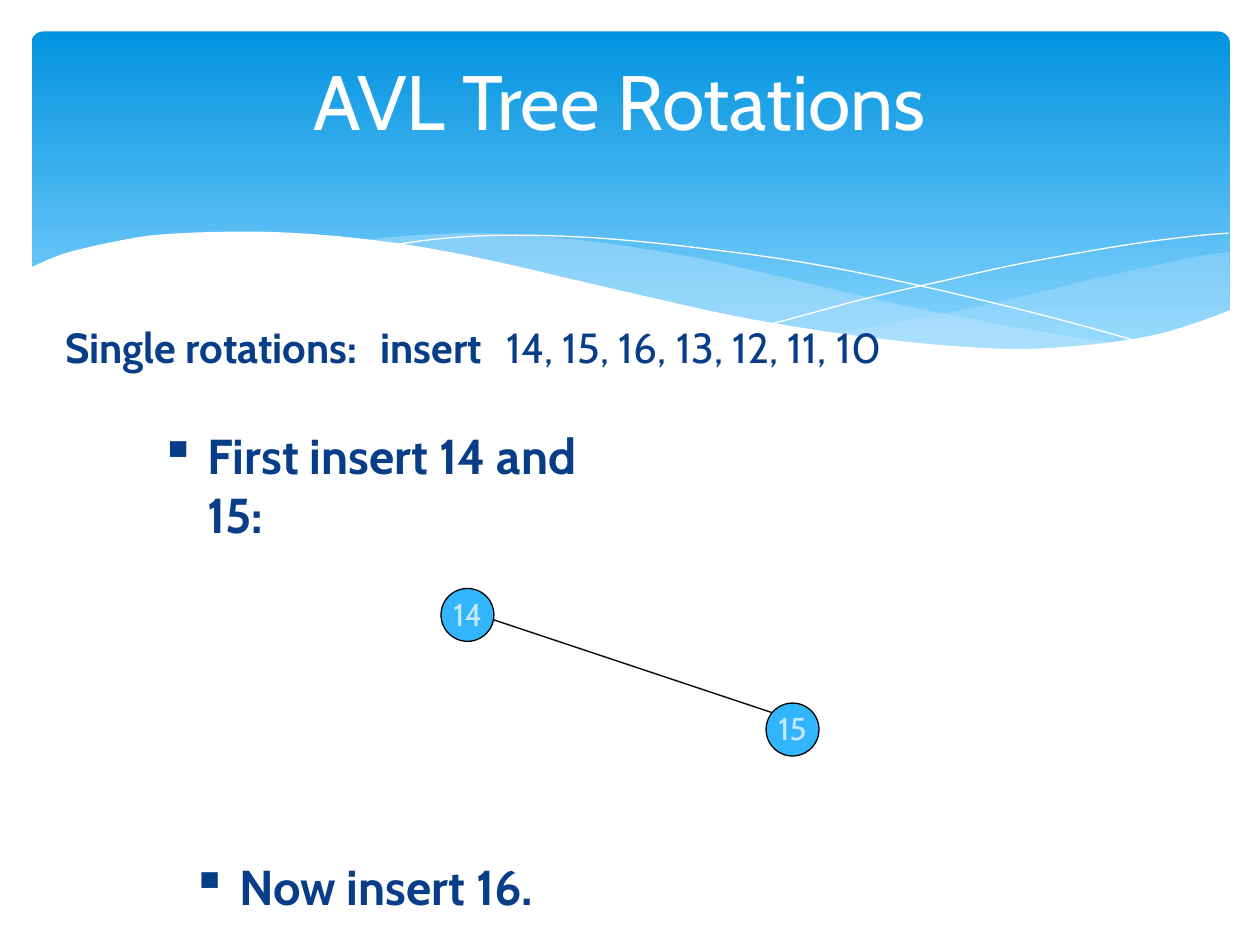
"""Build the AVL tree rotations slide: wave banner, two tree nodes and steps."""
from lxml import etree
from pptx import Presentation
from pptx import util as u
from pptx.dml import color
from pptx.enum import shapes, text
from pptx.oxml import ns

FONT = "Cabin"
COLORS = {
    "sky_top": "0293E0", "sky_low": "83D3FE", "haze": "C6E7FC",
    "white": "FFFFFF", "black": "000000", "navy": "073E87", "node": "31B6FD",
}
NODE_SIZE = 0.42

RIGHT_HAZE = [
    [(9.76, 2), (9.48, 2.04), (9.06, 2.13), (8.61, 2.23), (8.05, 2.37),
     (7.53, 2.48), (7.06, 2.57), (6.61, 2.65)],
    [(6.61, 2.65), (7.05, 2.71), (7.57, 2.76), (8.03, 2.78), (8.44, 2.77),
     (8.81, 2.73), (9.13, 2.67), (9.42, 2.59), (9.76, 2.47)],
]
LONG_HAZE = [
    [(8.93, 2.73), (8.37, 2.65), (7.75, 2.54), (7.06, 2.4), (6.29, 2.22),
     (5.69, 2.08), (5.14, 1.98), (4.65, 1.91), (4.2, 1.87), (3.8, 1.85),
     (3.44, 1.86), (3.13, 1.88), (2.86, 1.91)],
    [(2.86, 1.91), (3.42, 1.99), (4.04, 2.11), (4.49, 2.22), (5.3, 2.4),
     (6.01, 2.55), (6.65, 2.66), (7.22, 2.74), (7.73, 2.77), (8.18, 2.78),
     (8.57, 2.77), (8.93, 2.73)],
]
FALLING_LINE = [
    [(3.09, 1.95), (3.44, 1.9), (3.87, 1.87), (4.33, 1.87), (4.89, 1.9),
     (5.56, 1.97), (6.36, 2.08), (7.27, 2.26), (8.31, 2.51), (9.07, 2.72)],
]
RISING_LINE = [
    [(6.13, 2.57), (6.53, 2.46), (6.95, 2.35), (7.48, 2.23), (8.06, 2.1),
     (8.66, 1.99), (9.1, 1.92), (9.51, 1.87), (9.75, 1.85)],
]
WHITE_WAVE = [
    [(9.77, 2.46), (9.5, 2.56), (9.2, 2.65), (8.87, 2.71), (8.5, 2.75),
     (8.09, 2.77), (7.61, 2.75), (7.08, 2.7), (6.48, 2.62), (5.79, 2.5),
     (5.03, 2.33), (4.47, 2.2), (3.91, 2.07), (3.4, 1.97), (2.92, 1.9),
     (2.5, 1.86), (2.11, 1.84), (1.77, 1.84), (1.46, 1.85), (1.19, 1.87),
     (0.95, 1.91), (0.67, 1.97), (0.46, 2.03), (0.23, 2.13)],
    [(0.23, 3.29), (9.77, 3.29)],
]


def rgb(name):
    """Return the palette colour as an RGBColor."""
    return color.RGBColor.from_string(COLORS[name])


def smooth(points, steps=4):
    """Interpolate a Catmull-Rom curve through the points."""
    padded = [points[0], *points, points[-1]]
    curve = [points[0]]
    for a, b, c, d in zip(padded, padded[1:], padded[2:], padded[3:]):
        for t in (i / steps for i in range(1, steps + 1)):
            curve.append(tuple(
                q + t / 2 * (r - p + t * (2 * p - 5 * q + 4 * r - s
                                          + t * (3 * (q - r) + s - p)))
                for p, q, r, s in zip(a, b, c, d)))
    return curve


def add_wave(s, edges, fill=None, alpha=None):
    """Draw edges as a filled wave, or as a white hairline without a fill."""
    points = [(u.Inches(x), u.Inches(y)) for edge in edges
              for x, y in (smooth(edge) if len(edge) > 2 else edge)]
    builder = s.shapes.build_freeform(*points[0])
    builder.add_line_segments(points[1:], close=fill is not None)
    sp = builder.convert_to_shape()
    sp.shadow.inherit = False
    if fill is None:
        sp.fill.background()
        sp.line.color.rgb = rgb("white")
        sp.line.width = u.Pt(0)
        return
    sp.fill.solid()
    sp.fill.fore_color.rgb = rgb(fill)
    sp.line.fill.background()
    if alpha:
        clr = sp._element.spPr.find(".//" + ns.qn("a:srgbClr"))
        etree.SubElement(clr, ns.qn("a:alpha"), val=str(alpha * 1000))


def add_banner(s):
    """Draw the gradient banner with its waves."""
    sp = s.shapes.add_shape(shapes.MSO_SHAPE.ROUNDED_RECTANGLE, u.Inches(0.25),
                            u.Inches(0.25), u.Inches(9.51), u.Inches(2.7))
    sp.adjustments[0] = 0.034
    sp.shadow.inherit = False
    sp.line.fill.background()
    sp.fill.gradient()
    sp.fill.gradient_angle = 270
    stops = zip(sp.fill.gradient_stops, ("sky_top", "sky_low"), (0, 0.9))
    for stop, name, position in stops:
        stop.color.rgb = rgb(name)
        stop.position = position
    add_wave(s, RIGHT_HAZE, "haze", 29)
    add_wave(s, LONG_HAZE, "haze", 40)
    add_wave(s, FALLING_LINE)
    add_wave(s, RISING_LINE)
    add_wave(s, WHITE_WAVE, "white")


def place(sp, x, y, w, h):
    """Move and size a placeholder and bring it in front of the banner."""
    sp.left, sp.top, sp.width, sp.height = map(u.Inches, (x, y, w, h))
    sp._element.getparent().append(sp._element)
    sp.text_frame.word_wrap = True
    sp.text_frame.auto_size = text.MSO_AUTO_SIZE.NONE
    return sp.text_frame


def add_run(p, words, size, name, bold=False):
    """Append one formatted run to a paragraph."""
    r = p.add_run()
    r.text = words
    r.font.name, r.font.size, r.font.bold = FONT, u.Pt(size), bold
    r.font.color.rgb = rgb(name)


def fill_title(sp):
    """Set the slide title."""
    tf = place(sp, 0.67, 0.17, 8.5, 1.25)
    tf.vertical_anchor = text.MSO_ANCHOR.MIDDLE
    p = tf.paragraphs[0]
    p.alignment = text.PP_ALIGN.CENTER
    add_run(p, "AVL Tree Rotations", 44, "white")


def fill_body(sp):
    """Set the insertion sequence with tab stops between its parts."""
    p = place(sp, 0.42, 2.5, 9.33, 0.67).paragraphs[0]
    pPr = p._p.get_or_add_pPr()
    pPr.set("marL", "0")
    pPr.set("indent", "0")
    etree.SubElement(pPr, ns.qn("a:buNone"))
    tabs = etree.SubElement(pPr, ns.qn("a:tabLst"))
    for stop in (2.53, 3.56):
        etree.SubElement(tabs, ns.qn("a:tab"), pos=str(u.Inches(stop)), algn="l")
    p.space_before = u.Pt(0)
    add_run(p, "Single rotations:\tinsert\t", 24, "navy", True)
    add_run(p, "14, 15, 16, 13, 12, 11, 10", 24, "navy")


def add_text(s, x, y, w, h):
    """Add a wrapping text box and return its first paragraph."""
    tf = s.shapes.add_textbox(*map(u.Inches, (x, y, w, h))).text_frame
    tf.word_wrap = True
    return tf.paragraphs[0]


def add_node(s, x, y, key):
    """Draw a tree node with its key."""
    sp = s.shapes.add_shape(shapes.MSO_SHAPE.OVAL, u.Inches(x), u.Inches(y),
                            u.Inches(NODE_SIZE), u.Inches(NODE_SIZE))
    sp.shadow.inherit = False
    sp.fill.solid()
    sp.fill.fore_color.rgb = rgb("node")
    sp.line.color.rgb = rgb("black")
    sp.line.width = u.Pt(0.75)
    add_run(add_text(s, x, y, 0.5, 0.4), key, 18, "haze")


def add_edge(s, *ends):
    """Draw the line from a parent node to its child."""
    sp = s.shapes.add_connector(shapes.MSO_CONNECTOR.STRAIGHT,
                                *map(u.Inches, ends))
    sp.line.color.rgb = rgb("black")
    sp.line.width = u.Pt(0.75)
    etree.SubElement(sp._element.spPr, ns.qn("a:effectLst"))


def add_step(s, x, y, words):
    """Add one bulleted step."""
    p = add_text(s, x, y, 4, 0.67)
    pPr = p._p.get_or_add_pPr()
    pPr.set("marL", str(u.Inches(0.38)))
    pPr.set("indent", str(-u.Inches(0.38)))
    etree.SubElement(pPr, ns.qn("a:buChar"), char="▪")
    add_run(p, words, 28, "navy", True)


def main():
    """Build and save the slide."""
    prs = Presentation()
    prs.slide_width, prs.slide_height = u.Inches(10), u.Inches(7.5)
    s = prs.slides.add_slide(prs.slide_layouts[1])
    add_banner(s)
    fill_title(s.shapes.title)
    fill_body(s.placeholders[1])
    add_node(s, 3.5, 4.67, "14")
    add_edge(s, 3.92, 4.92, 6.17, 5.67)
    add_node(s, 6.08, 5.58, "15")
    add_step(s, 1.17, 3.33, "First insert 14 and 15:")
    add_step(s, 1.42, 6.75, "Now insert 16.")
    prs.save("out.pptx")


if __name__ == "__main__":
    main()
